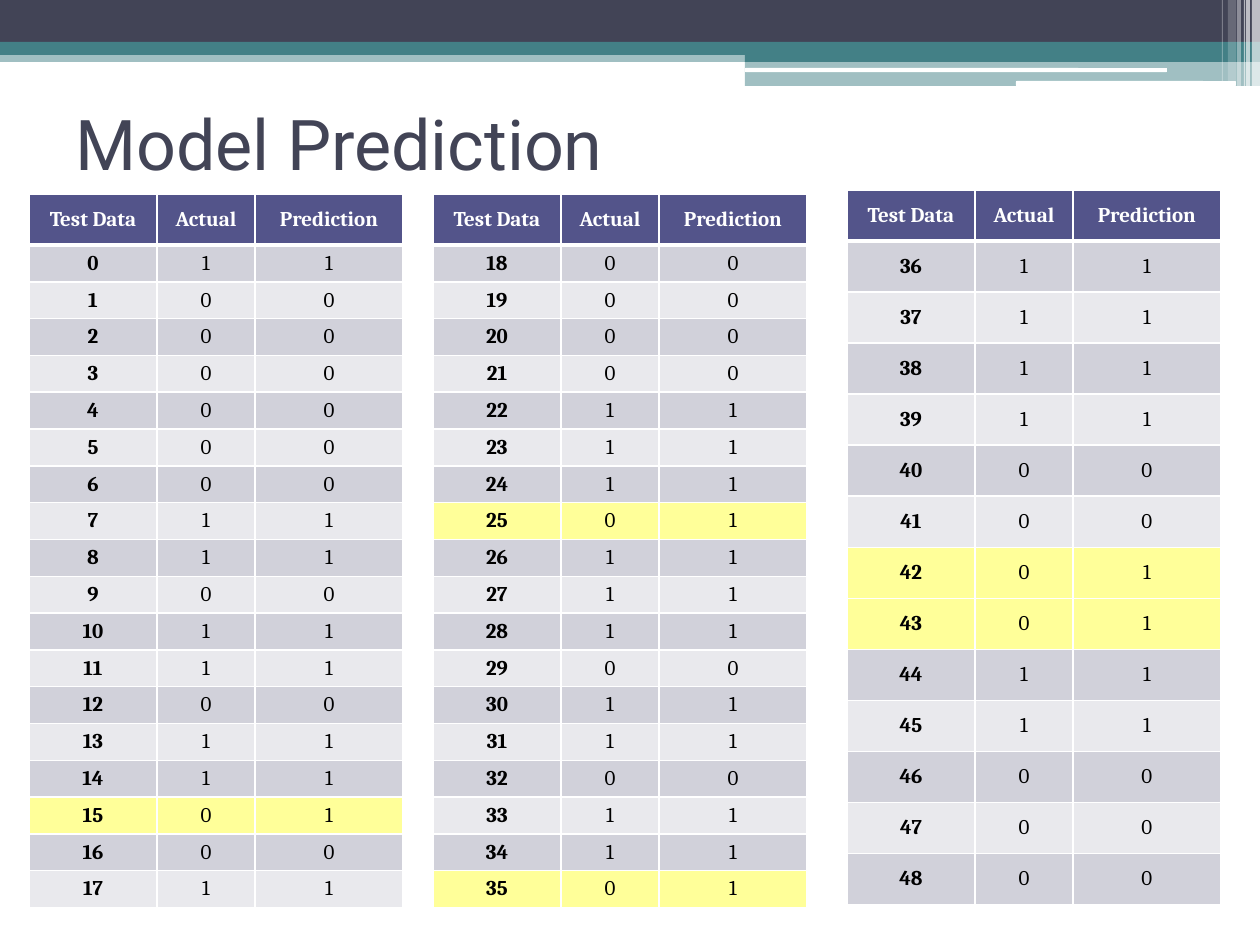
from lxml.etree import SubElement
from pptx import Presentation
from pptx.dml.color import RGBColor
from pptx.enum.shapes import MSO_SHAPE
from pptx.enum.text import MSO_ANCHOR, PP_ALIGN
from pptx.oxml.ns import qn
from pptx.util import Pt

PIXEL = 914400 // 126

WHITE = RGBColor(0xFF, 0xFF, 0xFF)
BLACK = RGBColor(0x00, 0x00, 0x00)
SLATE = RGBColor(0x42, 0x44, 0x56)
TEAL = RGBColor(0x43, 0x80, 0x86)
INDIGO = RGBColor(0x53, 0x54, 0x8A)
BAND_DARK = RGBColor(0xD1, 0xD1, 0xDA)
BAND_LIGHT = RGBColor(0xE9, 0xE9, 0xED)
MISMATCH = RGBColor(0xFF, 0xFF, 0x99)

HEADERS = ("Test Data", "Actual", "Prediction")
COLUMN_WIDTHS = (128, 98, 148)
HEADER_HEIGHT = 51

# left, top, width, height, colour, opacity in percent
BANDS = [
    (0, 50, 1260, 12, TEAL, 50),
    (0, 0, 1260, 43, SLATE, 100),
    (0, 42, 1260, 13, TEAL, 100),
    (745, 49, 515, 13, TEAL, 100),
    (745, 61, 515, 25, TEAL, 50),
]
HIGHLIGHTS = [
    (745, 68, 422, 4, WHITE, 100),
    (1016, 81, 220, 5, WHITE, 100),
]
STRIPES = [
    (1252, 0, 8, 86, WHITE, 65),
    (1246, 0, 4, 86, WHITE, 65),
    (1244, 0, 1, 86, WHITE, 60),
    (1237, 0, 4, 86, WHITE, 40),
    (1228, 0, 8, 81, WHITE, 20),
    (1222, 0, 1, 81, WHITE, 30),
]

# left, top, body height, first test number, actual values, predicted values
RESULTS = [
    (29, 194, 663, 0, "100000011011011001", "100000011011011101"),
    (433, 194, 663, 18, "000011101110110110", "000011111110110111"),
    (847, 190, 664, 36, "1111000011000", "1111001111000"),
]


def px(value):
    return value * PIXEL


def add_bar(slide, preset, left, top, width, height, color, opacity):
    shape = slide.shapes.add_shape(preset, px(left), px(top), px(width), px(height))
    shape.shadow.inherit = False
    shape.line.fill.background()
    shape.fill.solid()
    shape.fill.fore_color.rgb = color
    if opacity < 100:
        color_element = shape.fill._xPr.find(qn("a:solidFill"))[0]
        SubElement(color_element, qn("a:alpha"), val=str(opacity * 1000))


def format_run(run, font_name, size, color, bold=False):
    run.font.name = font_name
    run.font.size = Pt(size)
    run.font.color.rgb = color
    run.font.bold = bold


def add_title(slide, text):
    box = slide.shapes.add_textbox(px(63), px(69), px(1134), px(147))
    frame = box.text_frame
    frame.word_wrap = True
    frame.vertical_anchor = MSO_ANCHOR.MIDDLE
    frame.text = text
    format_run(frame.paragraphs[0].runs[0], "Roboto", 40, SLATE)


def set_borders(cell, top=1, bottom=1):
    properties = cell._tc.get_or_add_tcPr()
    for side, width in (("L", 1), ("R", 1), ("T", top), ("B", bottom)):
        line = SubElement(properties, qn("a:ln" + side), w=str(Pt(width)))
        fill = SubElement(line, qn("a:solidFill"))
        SubElement(fill, qn("a:srgbClr"), val=str(WHITE))


def fill_cell(cell, text, fill, color, bold, top=1, bottom=1):
    set_borders(cell, top, bottom)
    cell.fill.solid()
    cell.fill.fore_color.rgb = fill
    cell.margin_top = cell.margin_bottom = 0
    cell.vertical_anchor = MSO_ANCHOR.MIDDLE
    cell.text = text
    paragraph = cell.text_frame.paragraphs[0]
    paragraph.alignment = PP_ALIGN.CENTER
    format_run(paragraph.runs[0], "Cambria", 12, color, bold)


def row_fill(number, actual, predicted):
    if actual != predicted:
        return MISMATCH
    return BAND_LIGHT if number % 2 else BAND_DARK


def add_results(slide, left, top, body_height, first, actuals, predictions):
    count = len(actuals)
    table = slide.shapes.add_table(
        count + 1, len(HEADERS), px(left), px(top),
        px(sum(COLUMN_WIDTHS)), px(HEADER_HEIGHT + body_height)).table
    for column, width in zip(table.columns, COLUMN_WIDTHS):
        column.width = px(width)
    for row in table.rows:
        row.height = px(body_height) // count
    table.rows[0].height = px(HEADER_HEIGHT)

    for column, header in enumerate(HEADERS):
        fill_cell(table.cell(0, column), header, INDIGO, WHITE, True, bottom=3)
    for index, (actual, predicted) in enumerate(zip(actuals, predictions)):
        number = first + index
        fill = row_fill(number, actual, predicted)
        for column, text in enumerate((str(number), actual, predicted)):
            fill_cell(table.cell(index + 1, column), text, fill, BLACK,
                      column == 0, top=1 if index else 3)


def main():
    presentation = Presentation()
    presentation.slide_width = px(1260)
    presentation.slide_height = px(945)
    slide = presentation.slides.add_slide(presentation.slide_layouts[6])

    # Header decoration
    for bar in BANDS:
        add_bar(slide, MSO_SHAPE.RECTANGLE, *bar)
    for bar in HIGHLIGHTS:
        add_bar(slide, MSO_SHAPE.ROUNDED_RECTANGLE, *bar)
    for bar in STRIPES:
        add_bar(slide, MSO_SHAPE.RECTANGLE, *bar)

    # Title and result tables
    add_title(slide, "Model Prediction")
    for result in RESULTS:
        add_results(slide, *result)

    presentation.save("out.pptx")


main()
